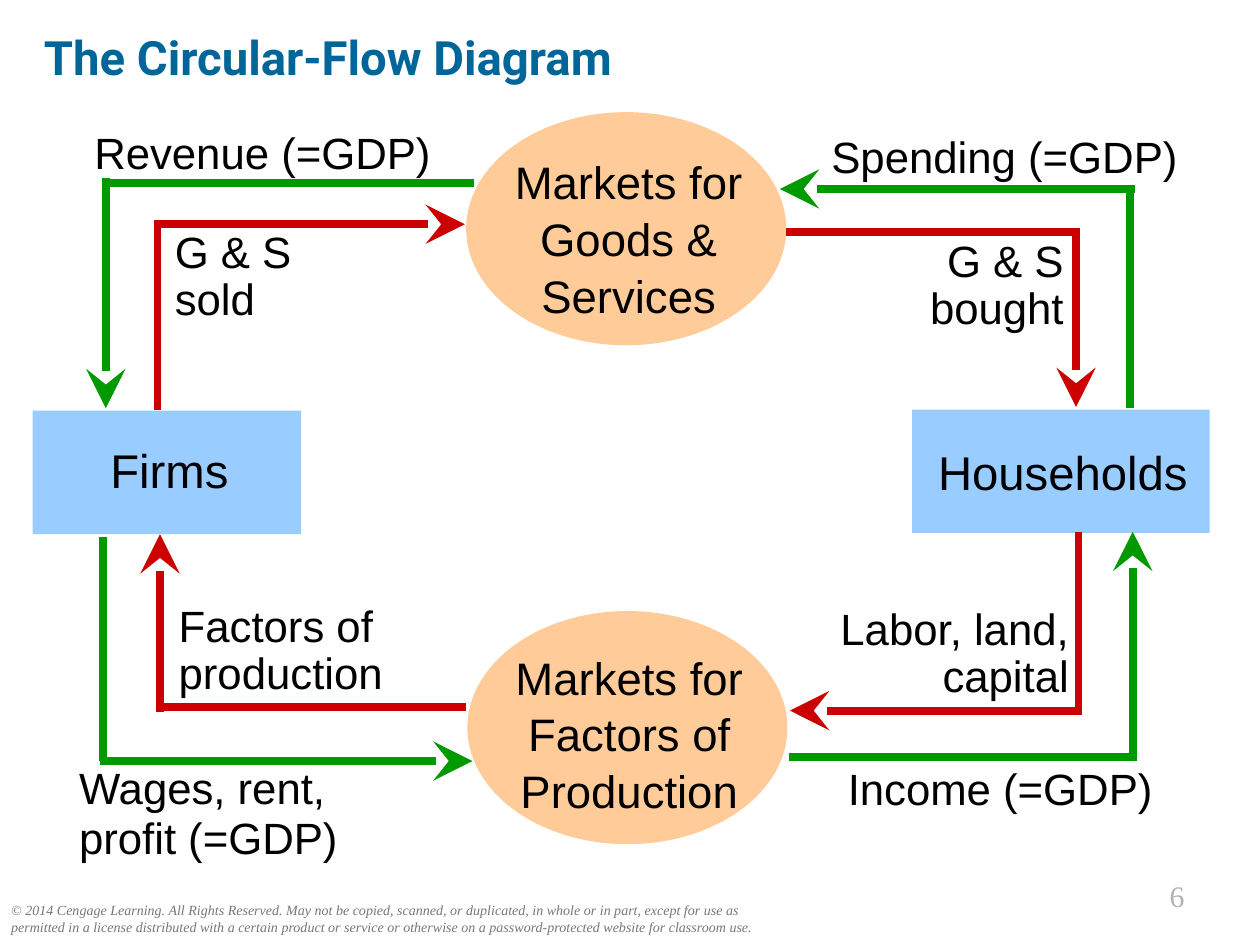
from lxml import etree
from pptx import Presentation
from pptx.dml.color import RGBColor
from pptx.enum.shapes import MSO_CONNECTOR, MSO_SHAPE
from pptx.enum.text import MSO_ANCHOR, PP_ALIGN
from pptx.oxml.ns import qn
from pptx.util import Inches, Pt

LEFT, CENTER, RIGHT = PP_ALIGN.LEFT, PP_ALIGN.CENTER, PP_ALIGN.RIGHT
TOP, MIDDLE = MSO_ANCHOR.TOP, MSO_ANCHOR.MIDDLE
ELLIPSE, RECTANGLE = MSO_SHAPE.OVAL, MSO_SHAPE.RECTANGLE
STRAIGHT = MSO_CONNECTOR.STRAIGHT

COLORS = {
    "title": "006699",
    "text": "000000",
    "copyright": "777777",
    "number": "B2B2B2",
    "market": "FFCC99",
    "actor": "99CCFF",
    "money": "009900",
    "goods": "CC0000",
}
CELL = 0.1  # the grid has 100 columns and 75 rows of this many inches


def grid(*cells):
    return [Inches(cell * CELL) for cell in cells]


def color(name):
    return RGBColor.from_string(COLORS[name])


class DiagramSlide:
    font = "Arial"
    label_size = 25
    line_width = 4.5

    def __init__(self, presentation):
        self.slide = presentation.slides.add_slide(presentation.slide_layouts[6])

    def text(self, box, words, size, ink="text", font=None, align=LEFT,
             anchor=TOP, spacing=1.0, bold=False, italic=False):
        frame = self.slide.shapes.add_textbox(*grid(*box)).text_frame
        frame.word_wrap = True
        frame.vertical_anchor = anchor
        frame.text = words
        paragraph = frame.paragraphs[0]
        paragraph.alignment = align
        paragraph.line_spacing = spacing
        style = paragraph.runs[0].font
        style.name, style.size = font or self.font, Pt(size)
        style.bold, style.italic = bold, italic
        style.color.rgb = color(ink)

    def node(self, kind, box, fill, words, text_box, size, spacing=1.0):
        shape = self.slide.shapes.add_shape(kind, *grid(*box))
        shape.shadow.inherit = False
        shape.fill.solid()
        shape.fill.fore_color.rgb = color(fill)
        shape.line.fill.background()
        self.text(text_box, words, size, align=CENTER, spacing=spacing)

    def line(self, start, end, ink, arrow=False):
        connector = self.slide.shapes.add_connector(STRAIGHT, *grid(*start, *end))
        connector.line.width = Pt(self.line_width)
        connector.line.color.rgb = color(ink)
        properties = connector._element.spPr
        etree.SubElement(properties, qn("a:effectLst"))
        if arrow:
            etree.SubElement(properties.find(qn("a:ln")), qn("a:tailEnd"),
                             type="stealth", w="lg", len="lg")

    def flow(self, ink, tail, head, words, box, align=LEFT, spacing=1.0):
        """Draw a plain line, then an arrow line, and the label beside them."""
        self.line(*tail, ink)
        self.line(*head, ink, arrow=True)
        self.text(box, words, self.label_size, align=align, spacing=spacing)


# Each node: kind, box, fill, words, text box, size, line spacing
NODES = [
    (ELLIPSE, (37, 8.9, 25.4, 18.5), "market",
     "Markets for Goods & Services", (38, 11.6, 23.8, 14), 26, 1.04),
    (ELLIPSE, (37.1, 48.5, 25.4, 18.5), "market",
     "Markets for Factors of Production", (36.7, 50.9, 26.5, 14), 26, 1.04),
    (RECTANGLE, (2.6, 32.6, 21.3, 9.8), "actor",
     "Firms", (4.6, 34.5, 17.7, 5.5), 27),
    (RECTANGLE, (72.4, 32.5, 23.6, 9.8), "actor",
     "Households", (73, 34.7, 22.7, 5.5), 27),
]

# Each flow: colour, plain line, arrow line, label, label box, alignment, spacing
FLOWS = [
    # Between firms and the market for goods and services
    ("money", ((8.4, 14.5), (37.6, 14.5)), ((8.4, 14.1), (8.4, 32.4)),
     "Revenue (=GDP)", (6.5, 9.5, 31.6, 5.2)),
    ("goods", ((12.5, 17.6), (12.5, 32.5)), ((12.2, 17.8), (36.9, 17.8)),
     "G & S sold", (12.9, 17.8, 14.3, 8.5), LEFT, 0.9),
    # Between households and the market for goods and services
    ("money", ((89.7, 14.8), (89.7, 32.4)), ((90.1, 15), (61.9, 15)),
     "Spending (=GDP)", (65, 9.8, 31.6, 5.2)),
    ("goods", ((85.7, 18.4), (62.4, 18.4)), ((85.4, 18.2), (85.4, 32.3)),
     "G & S bought", (71.1, 18.5, 14.3, 8.5), RIGHT, 0.9),
    # Between firms and the market for factors
    ("money", ((8.2, 60.4), (8.2, 42.6)), ((7.9, 60.4), (37.5, 60.4)),
     "Wages, rent, profit (=GDP)", (5.3, 60.2, 24.4, 8.9), LEFT, 0.95),
    ("goods", ((12.7, 56.1), (37, 56.1)), ((12.7, 56.5), (12.7, 42.4)),
     "Factors of production", (13.2, 47.5, 21.9, 8.5), LEFT, 0.9),
    # Between households and the market for factors
    ("money", ((89.8, 60.1), (62.6, 60.1)), ((89.9, 60.4), (89.9, 42.2)),
     "Income (=GDP)", (66.3, 60, 27.9, 5.2)),
    ("goods", ((85.6, 56.5), (85.6, 42.2)), ((85.9, 56.4), (62.7, 56.4)),
     "Labor, land, capital", (63.9, 47.7, 21.9, 8.5), RIGHT, 0.9),
]

COPYRIGHT = (
    "© 2014 Cengage Learning. All Rights Reserved. May not be copied, scanned, "
    "or duplicated, in whole or in part, except for use as permitted in a license "
    "distributed with a certain product or service or otherwise on a "
    "password-protected website for classroom use."
)


def main():
    presentation = Presentation()
    presentation.slide_width, presentation.slide_height = grid(100, 75)
    diagram = DiagramSlide(presentation)

    # Footer and title
    diagram.text((-0.1, 71.1, 61.8, 3.7), COPYRIGHT, 8, "copyright",
                 "Times New Roman", italic=True)
    diagram.text((82.5, 69.2, 12.5, 3.9), "6", 17, "number",
                 "Times New Roman", align=RIGHT)
    diagram.text((2.5, 1.5, 90, 6), "The Circular-Flow Diagram", 27, "title",
                 "Roboto", anchor=MIDDLE, bold=True)

    # Diagram
    for node in NODES:
        diagram.node(*node)
    for flow in FLOWS:
        diagram.flow(*flow)

    presentation.save("out.pptx")


if __name__ == "__main__":
    main()
